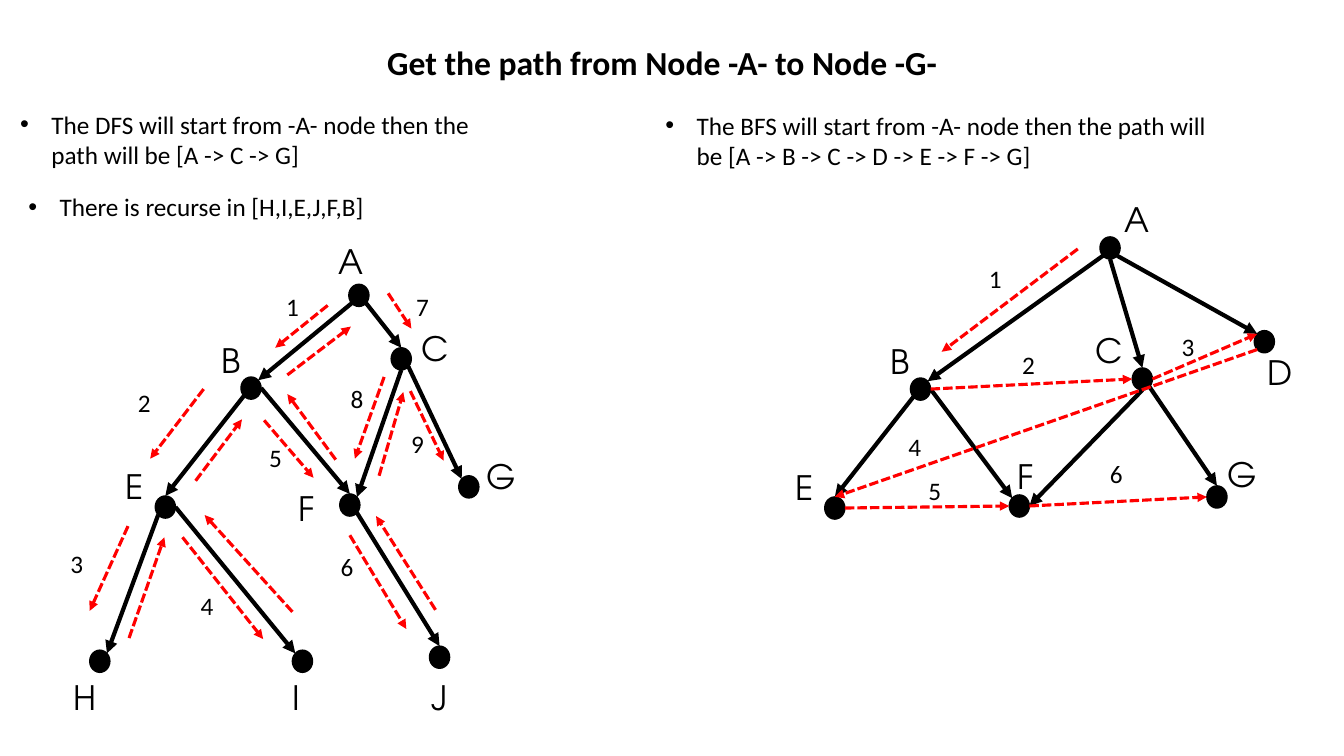
from math import cos, radians, sin

from lxml.etree import SubElement
from pptx import Presentation
from pptx.dml.color import RGBColor
from pptx.enum.dml import MSO_LINE
from pptx.enum.shapes import MSO_CONNECTOR, MSO_SHAPE
from pptx.enum.text import MSO_ANCHOR, MSO_AUTO_SIZE, PP_ALIGN
from pptx.oxml.ns import qn
from pptx.util import Cm, Pt

COLOURS = {"ink": "000000", "walk": "FF0000", "paper": "FFFFFF"}
FORMATS = {
    "title": {"name": "Calibri", "size": Pt(24), "bold": True},
    "body": {"name": "Calibri", "size": Pt(18), "bold": False},
    "node": {"name": "TeX Gyre Adventor", "size": Pt(24), "bold": False},
}

# Positions are in grid units of 2.54 cm.
UNIT = 2.54
NODE_WIDTH, NODE_HEIGHT = 0.2, 0.22
BULLET_INDENT = 0.31

TITLE = ("Get the path from Node -A- to Node -G-", (3.74, 0.37, 6.07, 0.5))
LISTS = [
    (["The DFS will start from -A- node then the path will be [A -> C -> G]",
      "There is recurse in [H,I,E,J,F,B]"], (0.1, 1.03, 5.1, 1.23), 0.08),
    (["The BFS will start from -A- node then the path will be "
      "[A -> B -> C -> D -> E -> F -> G]"], (6.5, 1.04, 5.59, 0.71), 0),
]

# nodes: name -> (centre, label corner)
# edges: "from to" with the site on each ellipse, counted anticlockwise from the top
# walk: dashed arrows, either between sites or between free points
# steps: number -> label corner
DFS = {
    "nodes": {
        "A": ((3.56, 2.93), (3.26, 2.34)), "B": ((2.49, 3.85), (2.1, 3.32)),
        "C": ((3.98, 3.56), (4.08, 3.2)), "E": ((1.64, 5.03), (1.15, 4.57)),
        "F": ((3.47, 5.01), (2.86, 4.79)), "G": ((4.65, 4.83), (4.73, 4.47)),
        "H": ((0.99, 6.56), (0.63, 6.67)), "I": ((3.0, 6.56), (2.8, 6.67)),
        "J": ((4.36, 6.52), (4.18, 6.67)),
    },
    "edges": ["A3 B7", "A5 C0", "B3 E0", "B6 F0", "C4 F7", "C5 G1",
              "E3 H7", "E6 I1", "F5 J0"],
    "walk": [
        ((3.25, 3.03), (2.73, 3.45)), ((2.85, 3.72), (3.48, 3.24)),
        ((2.02, 3.86), (1.49, 4.55)), ((1.94, 4.77), (2.4, 4.16)),
        ((1.27, 5.22), (0.89, 6.06)), ((1.28, 6.33), (1.63, 5.33)),
        ((1.81, 5.33), (2.61, 6.34)), ((2.9, 6.07), (2.03, 5.11)),
        ((2.62, 4.17), (3.11, 4.74)), ((3.33, 4.56), (2.85, 3.91)),
        ((3.47, 5.31), (4.03, 6.24)), ((4.32, 6.05), (3.73, 5.12)),
        ((3.85, 2.91), (4.08, 3.26)),
        ((3.81, 3.74), (3.52, 4.55)), ((3.76, 4.72), (4.0, 3.89)),
        ((4.07, 3.88), (4.4, 4.57)),
    ],
    "steps": [(2.74, 2.84), (1.27, 3.79), (0.6, 5.39), (1.89, 5.81), (2.57, 4.34),
              (3.28, 5.42), (4.03, 2.84), (3.38, 3.75), (3.98, 4.2)],
}
BFS = {
    "nodes": {
        "A": ((11.01, 2.46), (11.05, 1.92)), "B": ((9.13, 3.86), (8.73, 3.33)),
        "C": ((11.33, 3.76), (10.77, 3.22)), "D": ((12.54, 3.39), (12.47, 3.44)),
        "E": ((8.28, 5.04), (7.79, 4.58)), "F": ((10.11, 5.02), (9.99, 4.47)),
        "G": ((12.07, 4.93), (12.08, 4.45)),
    },
    "edges": ["A3 B7", "A4 C0", "A5 D1", "B3 E0", "B6 F1", "C4 F6", "C5 G0"],
    "walk": [((10.69, 2.47), (9.34, 3.49)),
             "B6 C2", "C6 D1", "D3 E0", "E6 F2", "F6 G2"],
    "steps": [(9.71, 2.56), (10.04, 3.42), (11.62, 3.24), (8.91, 4.23),
              (9.11, 4.67), (10.91, 4.5)],
}


def grid(*values):
    """Convert grid units to lengths."""
    return [Cm(value * UNIT) for value in values]


def colour(name):
    """Look up a named colour."""
    return RGBColor.from_string(COLOURS[name])


def write(para, text, style):
    """Add one formatted span to a paragraph."""
    span = para.add_run()
    span.text = text
    for key, value in FORMATS[style].items():
        setattr(span.font, key, value)
    span.font.color.rgb = colour("ink")


def prepare(frame, anchor=MSO_ANCHOR.TOP):
    """Make a text frame wrap at a fixed size."""
    settings = {"word_wrap": True, "auto_size": MSO_AUTO_SIZE.NONE,
                "vertical_anchor": anchor}
    for key, value in settings.items():
        setattr(frame, key, value)


def place(holder, area):
    """Move a placeholder to its area."""
    for key, value in zip(("left", "top", "width", "height"), grid(*area)):
        setattr(holder, key, value)


def add_title(slide):
    """Fill the title placeholder."""
    text, area = TITLE
    place(slide.shapes.title, area)
    frame = slide.shapes.title.text_frame
    prepare(frame, MSO_ANCHOR.MIDDLE)
    frame.paragraphs[0].alignment = PP_ALIGN.LEFT
    write(frame.paragraphs[0], text, "title")


def add_list(holder, lines, area, shift):
    """Fill a body placeholder, shifting each later bullet to the right."""
    place(holder, area)
    frame = holder.text_frame
    prepare(frame)
    hang = grid(BULLET_INDENT)[0]
    for index, line in enumerate(lines):
        para = frame.add_paragraph() if index else frame.paragraphs[0]
        para.space_before = Pt(16 if index else 0)
        properties = para._p.get_or_add_pPr()
        properties.set("marL", str(hang + grid(shift * index)[0]))
        properties.set("indent", str(-hang))
        write(para, line, "body")


def add_label(slide, text, corner, style):
    """Add a node letter or a step number."""
    box = slide.shapes.add_textbox(*grid(*corner, 0.41, 0.5))
    prepare(box.text_frame)
    write(box.text_frame.paragraphs[0], text, style)


def site(nodes, key):
    """Return the point of a numbered site on a node's ellipse."""
    (x, y), _ = nodes[key[0]]
    angle = radians(90 + 45 * int(key[1]))
    return x + NODE_WIDTH / 2 * cos(angle), y - NODE_HEIGHT / 2 * sin(angle)


def add_arrow(slide, nodes, ends, dashed=False):
    """Draw an arrow between two sites or two free points."""
    if isinstance(ends, str):
        ends = [site(nodes, key) for key in ends.split()]
    start, finish = ends
    arrow = slide.shapes.add_connector(MSO_CONNECTOR.STRAIGHT, *grid(*start, *finish))
    arrow.line.color.rgb = colour("walk" if dashed else "ink")
    arrow.line.width = Pt(2.25 if dashed else 3)
    if dashed:
        arrow.line.dash_style = MSO_LINE.SQUARE_DOT
    SubElement(arrow.line._get_or_add_ln(), qn("a:tailEnd"), type="triangle")
    SubElement(arrow._element.spPr, qn("a:effectLst"))


def add_graph(slide, graph):
    """Draw one search graph with its walk and step numbers."""
    nodes = graph["nodes"]
    for edge in graph["edges"]:
        add_arrow(slide, nodes, edge)
    for name, ((x, y), corner) in nodes.items():
        dot = slide.shapes.add_shape(MSO_SHAPE.OVAL, *grid(
            x - NODE_WIDTH / 2, y - NODE_HEIGHT / 2, NODE_WIDTH, NODE_HEIGHT))
        dot.shadow.inherit = False
        dot.fill.solid()
        dot.fill.fore_color.rgb = dot.line.color.rgb = colour("ink")
        dot.line.width = Pt(1)
        add_label(slide, name, corner, "node")
    for ends in graph["walk"]:
        add_arrow(slide, nodes, ends, dashed=True)
    for number, corner in enumerate(graph["steps"], 1):
        add_label(slide, str(number), corner, "body")


deck = Presentation()
deck.slide_width, deck.slide_height = grid(13.33, 7.5)
slide = deck.slides.add_slide(deck.slide_layouts.get_by_name("Two Content"))
slide.background.fill.solid()
slide.background.fill.fore_color.rgb = colour("paper")
add_title(slide)
for number, content in enumerate(LISTS, 1):
    add_list(slide.placeholders[number], *content)
for graph in (DFS, BFS):
    add_graph(slide, graph)
deck.save("out.pptx")
